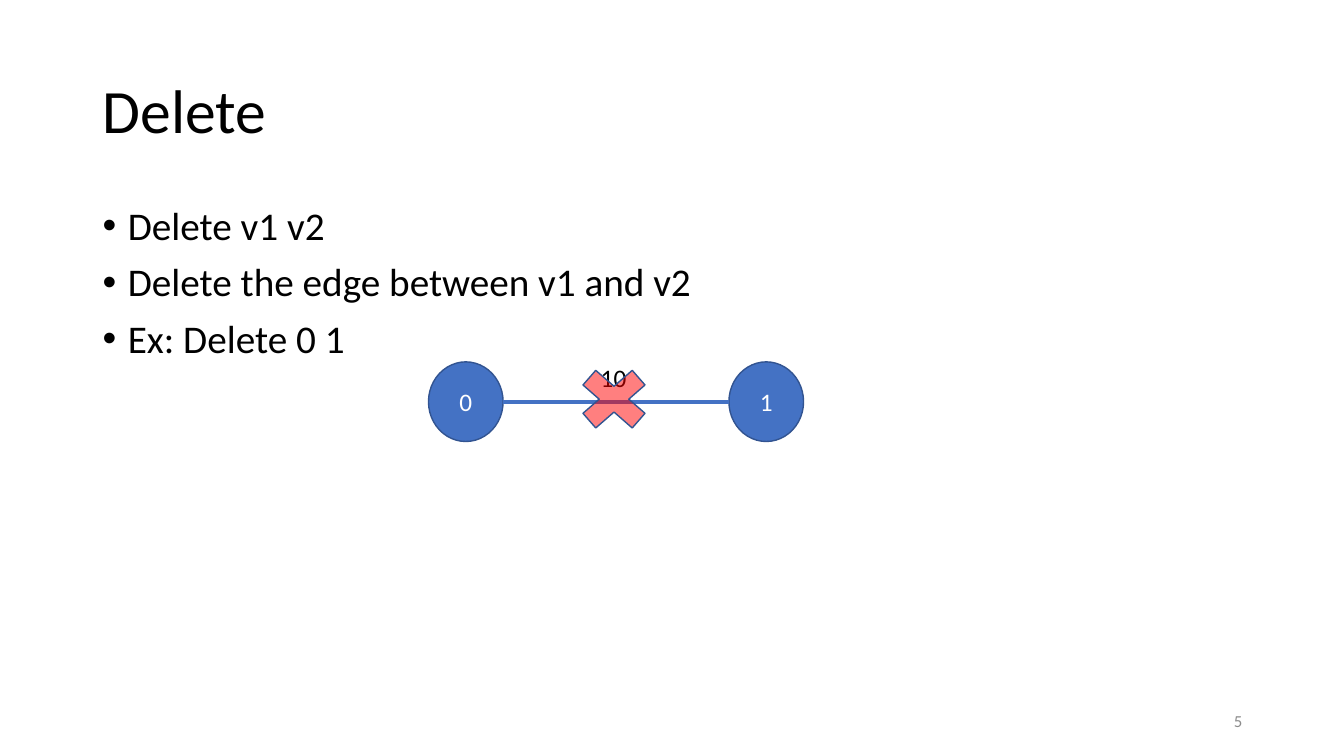
from lxml.etree import SubElement
from pptx import Presentation
from pptx.dml.color import RGBColor
from pptx.enum.shapes import MSO_CONNECTOR, MSO_SHAPE
from pptx.enum.text import MSO_ANCHOR, MSO_AUTO_SIZE, PP_ALIGN
from pptx.oxml.ns import qn
from pptx.util import Inches, Pt

BLUE, OUTLINE, RED = "4472C4", "325491", "FF0000"
BLACK, WHITE, GREY = "000000", "FFFFFF", "8C8C8C"
MARGIN, CONTENT_WIDTH = 0.92, 11.5
NODE_TOP, NODE_WIDTH, NODE_HEIGHT = 3.59, 0.74, 0.79
NODE_LEFTS = [4.25, 7.23]


def color(hex_string):
    """Turn a hex string into a colour."""
    return RGBColor.from_string(hex_string)


def write(shape, text, size, ink, align=PP_ALIGN.LEFT, anchor=MSO_ANCHOR.MIDDLE):
    """Put text into a shape and format every paragraph alike."""
    frame = shape.text_frame
    frame.text = text
    frame.auto_size = MSO_AUTO_SIZE.NONE
    frame.word_wrap = True
    frame.vertical_anchor = anchor
    for para in frame.paragraphs:
        para.alignment = align
        for span in para.runs:
            span.font.name = "Calibri"
            span.font.size = Pt(size)
            span.font.color.rgb = color(ink)


deck = Presentation()
deck.slide_width, deck.slide_height = Inches(13.33), Inches(7.5)
page = deck.slides.add_slide(deck.slide_layouts[5])

# Title
title = page.shapes.title
title.left, title.top = Inches(MARGIN), Inches(0.4)
title.width, title.height = Inches(CONTENT_WIDTH), Inches(1.45)
write(title, "Delete", 44, BLACK)
title.text_frame.paragraphs[0].line_spacing = 0.9

# Bulleted explanation
bullets = page.shapes.add_textbox(Inches(MARGIN), Inches(2), Inches(CONTENT_WIDTH), Inches(4.76))
lines = ["Delete v1 v2", "Delete the edge between v1 and v2", "Ex: Delete 0 1"]
write(bullets, "\n".join(lines), 28, BLACK, anchor=MSO_ANCHOR.TOP)
for para in bullets.text_frame.paragraphs:
    para.line_spacing = 0.9
    para.space_before = Pt(10)
    properties = para._p.get_or_add_pPr()
    properties.set("marL", str(Inches(0.25)))
    properties.set("indent", str(-Inches(0.25)))
    SubElement(properties, qn("a:buFont"), typeface="Arial")
    SubElement(properties, qn("a:buChar"), char="•")

# Graph nodes
for number, left in enumerate(NODE_LEFTS):
    node = page.shapes.add_shape(MSO_SHAPE.OVAL, Inches(left), Inches(NODE_TOP),
                                 Inches(NODE_WIDTH), Inches(NODE_HEIGHT))
    node.shadow.inherit = False
    node.fill.solid()
    node.fill.fore_color.rgb = color(BLUE)
    node.line.color.rgb = color(OUTLINE)
    node.line.width = Pt(1)
    write(node, str(number), 18, WHITE, PP_ALIGN.CENTER)

# Edge from the right side of node 0 to the left side of node 1
edge_height = Inches(NODE_TOP + NODE_HEIGHT / 2)
edge = page.shapes.add_connector(MSO_CONNECTOR.STRAIGHT,
                                 Inches(NODE_LEFTS[0] + NODE_WIDTH), edge_height,
                                 Inches(NODE_LEFTS[1]), edge_height)
edge.line.color.rgb = color(BLUE)
edge.line.width = Pt(3)
SubElement(edge._element.spPr, qn("a:effectLst"))

weight = page.shapes.add_textbox(Inches(5.86), Inches(3.55), Inches(0.52), Inches(0.4))
write(weight, "10", 18, BLACK, anchor=MSO_ANCHOR.TOP)

# Half-transparent cross over the deleted edge
cross = page.shapes.add_shape(MSO_SHAPE.MATH_MULTIPLY, Inches(5.62), Inches(3.55),
                              Inches(0.94), Inches(0.82))
cross.shadow.inherit = False
cross.fill.solid()
cross.fill.fore_color.rgb = color(RED)
red_fill = cross._element.spPr.find(qn("a:solidFill"))
SubElement(red_fill[0], qn("a:alpha"), val="50000")
cross.line.color.rgb = color(OUTLINE)
cross.line.width = Pt(1)

# Slide number
page_number = page.shapes.add_textbox(Inches(9.42), Inches(6.95), Inches(3), Inches(0.4))
write(page_number, "5", 12, GREY, PP_ALIGN.RIGHT)

deck.save("out.pptx")
